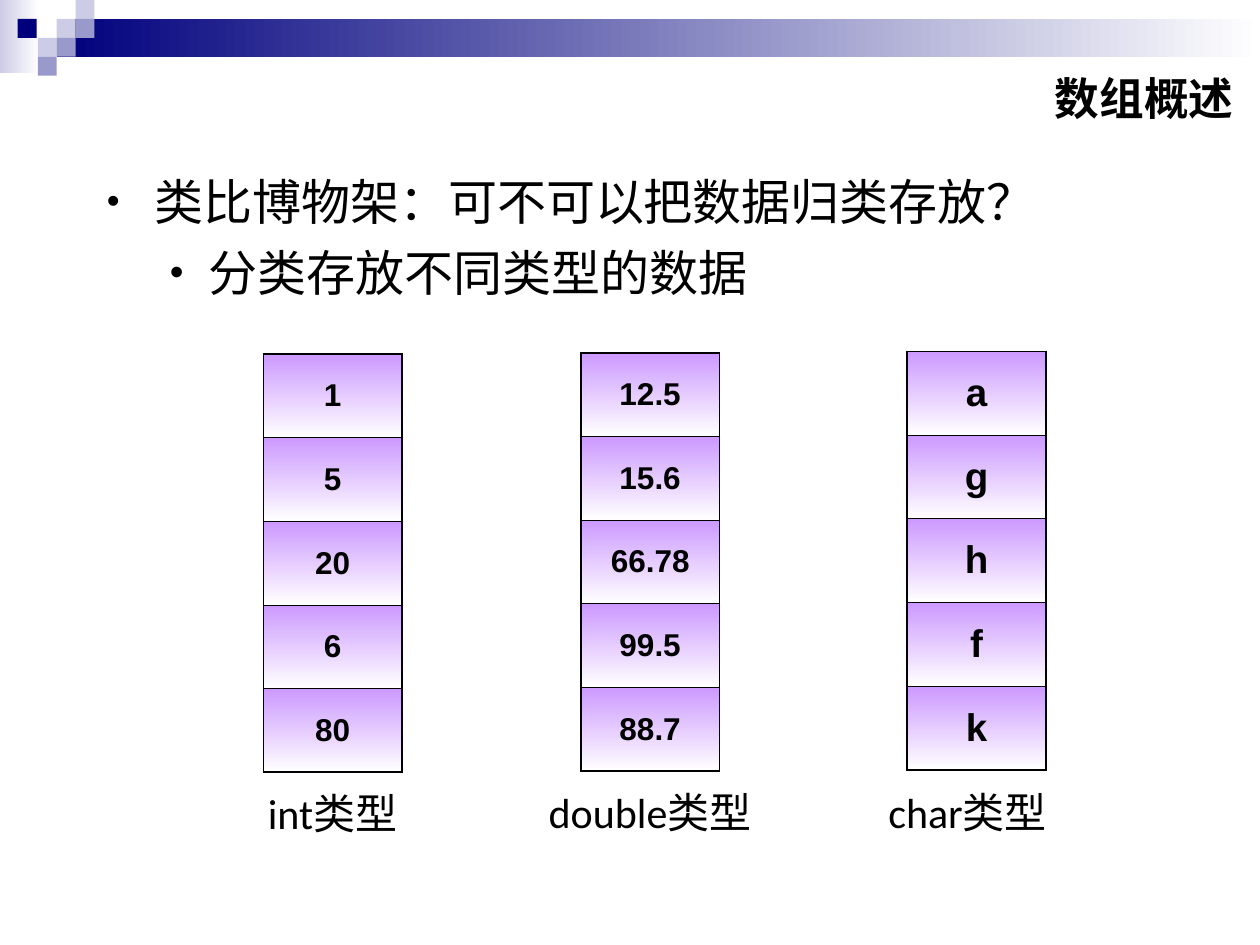
from lxml.etree import SubElement
from pptx import Presentation
from pptx.dml.color import RGBColor
from pptx.enum.shapes import MSO_SHAPE
from pptx.enum.text import MSO_ANCHOR, PP_ALIGN
from pptx.oxml import parse_xml
from pptx.oxml.ns import nsdecls, qn
from pptx.util import Inches, Pt

BLACK = RGBColor(0x00, 0x00, 0x00)
WHITE = RGBColor(0xFF, 0xFF, 0xFF)
NAVY = RGBColor(0x00, 0x00, 0x7D)
LAVENDER = RGBColor(0xCC, 0xCC, 0xE6)
PERIWINKLE = RGBColor(0x99, 0x99, 0xCC)
VIOLET = RGBColor(0xCC, 0x99, 0xFF)
CJK_FONT = "Noto Sans CJK SC"

SQUARE = 0.15
SQUARES = [
    (0.45, 0.15, LAVENDER), (0.6, 0, LAVENDER), (0.6, 0.15, PERIWINKLE),
    (0.3, 0.3, LAVENDER), (0.14, 0.15, NAVY), (0.45, 0.3, PERIWINKLE),
    (0.3, 0.45, PERIWINKLE),
]
# left, top, values, text size, space before
ARRAYS = [
    (2.09, 2.81, ["1", "5", "20", "6", "80"], 18, 4.5),
    (4.61, 2.8, ["12.5", "15.6", "66.78", "99.5", "88.7"], 18, 4.5),
    (7.2, 2.79, ["a", "g", "h", "f", "k"], 22, 5.5),
]
# left, top, text
LABELS = [(1.46, 6.2, "int类型"), (3.98, 6.19, "double类型"), (6.5, 6.19, "char类型")]
# text, level, left margin, hanging indent, bullet size in percent
BULLETS = [
    ("类比博物架：可不可以把数据归类存放？", 0, 0.38, -0.38, 75),
    ("分类存放不同类型的数据", 1, 0.81, -0.31, 80),
]


def set_gradient(fill, start, angle):
    """Fade from start to white; the angle runs counter-clockwise."""
    fill.gradient()
    fill.gradient_angle = angle
    for stop, color in zip(fill.gradient_stops, (start, WHITE)):
        stop.color.rgb = color


def add_rectangle(slide, left, top, width, height, color, fade=False):
    shape = slide.shapes.add_shape(
        MSO_SHAPE.RECTANGLE, *map(Inches, (left, top, width, height)))
    shape.shadow.inherit = False
    shape.line.fill.background()
    if fade:
        set_gradient(shape.fill, color, 0)
    else:
        shape.fill.solid()
        shape.fill.fore_color.rgb = color


def write_text(paragraph, text, size, font_name, bold=False, **paragraph_format):
    for name, value in paragraph_format.items():
        setattr(paragraph, name, value)
    run = paragraph.add_run()
    run.text = text
    font_format = {"size": Pt(size), "name": font_name, "bold": bold}
    for name, value in font_format.items():
        setattr(run.font, name, value)
    run.font.color.rgb = BLACK
    SubElement(run.font._element, qn("a:ea"), typeface=CJK_FONT)


def add_text_frame(slide, left, top, width, height, anchor=MSO_ANCHOR.TOP):
    box = slide.shapes.add_textbox(*map(Inches, (left, top, width, height)))
    box.text_frame.word_wrap = True
    box.text_frame.vertical_anchor = anchor
    return box.text_frame


def add_bullets(slide):
    frame = add_text_frame(slide, 0.75, 1.31, 9.06, 2.26)
    for index, (text, level, margin, indent, bullet_size) in enumerate(BULLETS):
        paragraph = frame.add_paragraph() if index else frame.paragraphs[0]
        write_text(paragraph, text, 28, "Calibri", level=level, space_before=Pt(7))
        properties = paragraph._p.get_or_add_pPr()
        properties.set("marL", str(Inches(margin)))
        properties.set("indent", str(Inches(indent)))
        color = SubElement(properties, qn("a:buClr"))
        SubElement(color, qn("a:srgbClr"), val=str(BLACK))
        SubElement(properties, qn("a:buSzPct"), val=str(bullet_size * 1000))
        SubElement(properties, qn("a:buFont"), typeface="Arial")
        SubElement(properties, qn("a:buChar"), char="•")


def set_borders(cell, widths):
    """Put one black line on each side, ahead of the cell's fill."""
    properties = cell._tc.get_or_add_tcPr()
    for position, (side, width) in enumerate(widths.items()):
        properties.insert(position, parse_xml(
            f'<a:{side} {nsdecls("a")} w="{Pt(width)}"><a:solidFill>'
            f'<a:srgbClr val="{BLACK}"/></a:solidFill></a:{side}>'))


def add_array(slide, left, top, values, size, space_before):
    thick, thin = 1.08, 0.45
    table = slide.shapes.add_table(
        len(values), 1, *map(Inches, (left, top, 1.1, 3.32))).table
    table.first_row = table.horz_banding = False
    last = len(values) - 1
    for index, value in enumerate(values):
        cell = table.cell(index, 0)
        cell.vertical_anchor = MSO_ANCHOR.MIDDLE
        set_gradient(cell.fill, VIOLET, 270)
        set_borders(cell, {
            "lnL": thick, "lnR": thick,
            "lnT": thick if index == 0 else thin,
            "lnB": thick if index == last else thin,
        })
        write_text(cell.text_frame.paragraphs[0], value, size, "Arial", True,
                   alignment=PP_ALIGN.CENTER, space_before=Pt(space_before))


def add_label(slide, left, top, text):
    frame = add_text_frame(slide, left, top, 2.36, 0.5)
    write_text(frame.paragraphs[0], text, 24, "Calibri",
               alignment=PP_ALIGN.CENTER, space_before=Pt(15))


def add_title(slide, text):
    frame = add_text_frame(slide, 4.76, 0.53, 5.13, 0.55, MSO_ANCHOR.MIDDLE)
    write_text(frame.paragraphs[0], text, 25.5, CJK_FONT, True,
               alignment=PP_ALIGN.RIGHT, line_spacing=0.9)


def main():
    presentation = Presentation()
    presentation.slide_width = Inches(10)
    presentation.slide_height = Inches(7.5)
    slide = presentation.slides.add_slide(presentation.slide_layouts[6])

    add_rectangle(slide, 0, 0, 0.31, 0.58, LAVENDER, fade=True)
    add_rectangle(slide, 0.45, 0.15, 9.55, 0.3, NAVY, fade=True)
    for left, top, color in SQUARES:
        add_rectangle(slide, left, top, SQUARE, SQUARE, color)
    add_bullets(slide)
    for array in ARRAYS:
        add_array(slide, *array)
    for label in LABELS:
        add_label(slide, *label)
    add_title(slide, "数组概述")
    presentation.save("out.pptx")


if __name__ == "__main__":
    main()
